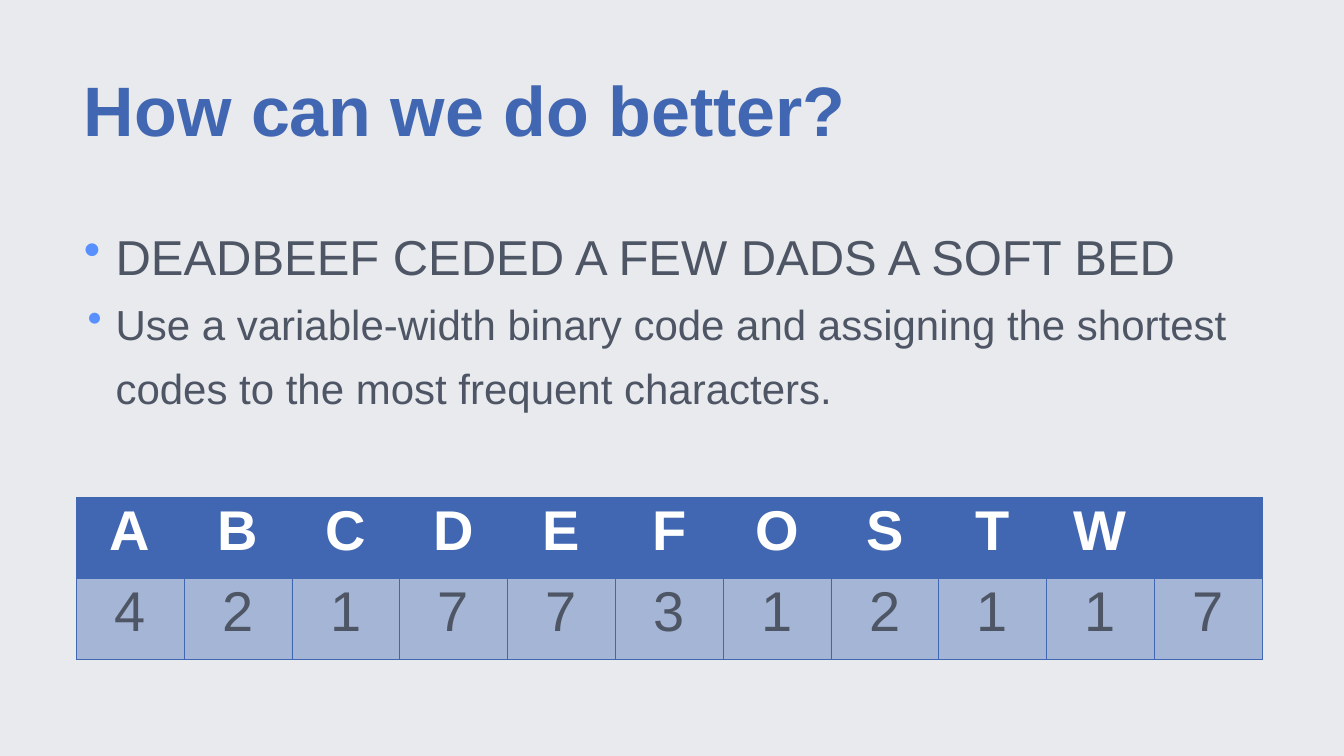
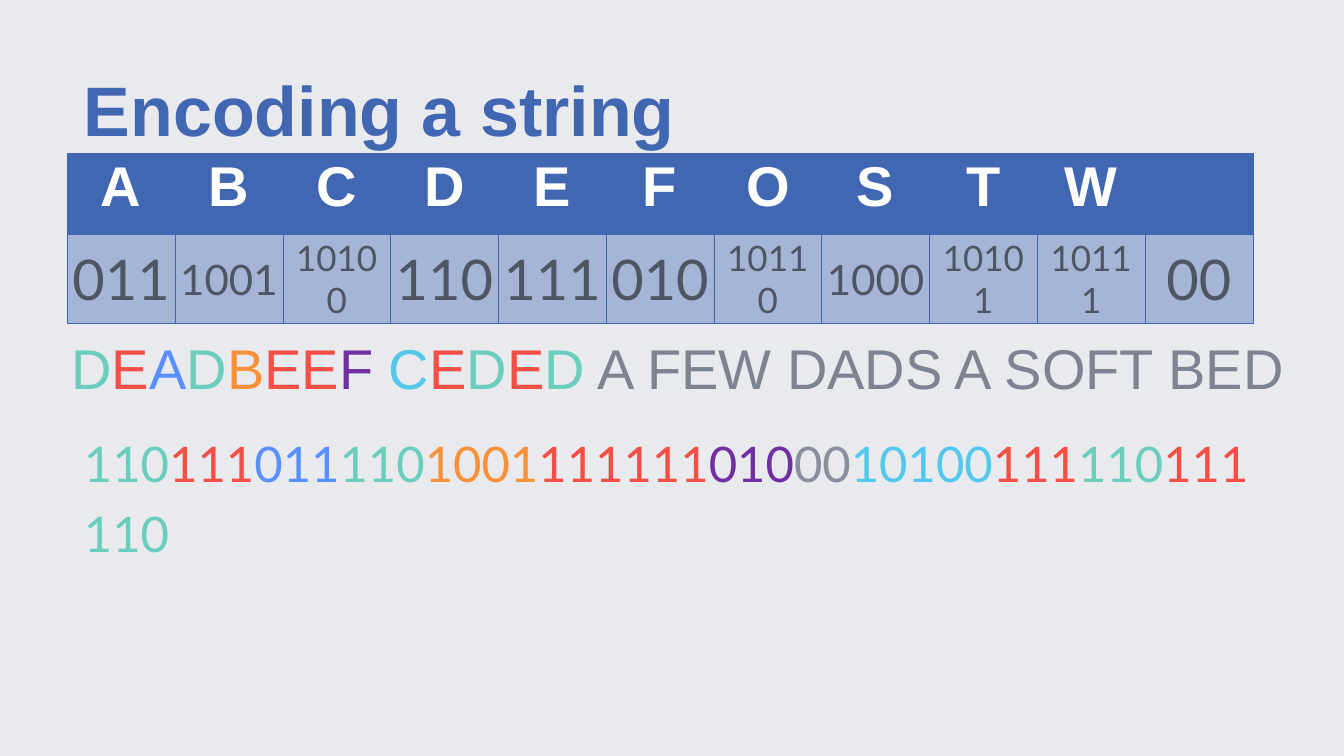
from itertools import groupby

from lxml.etree import SubElement as Sub
from pptx import Presentation
from pptx.dml.color import RGBColor as RGB
from pptx.enum.text import MSO_ANCHOR as Anchor, PP_ALIGN as Align
from pptx.oxml.ns import qn
from pptx.util import Pt

PAPER = RGB(0xE9, 0xEA, 0xED)
TITLE = RGB(0x42, 0x67, 0xB2)
GRID = RGB(0x41, 0x67, 0xB2)
INK = RGB(0x4E, 0x56, 0x65)
WHITE = RGB(0xFF, 0xFF, 0xFF)
GRAY = RGB(0x7D, 0x84, 0x90)
STONE = RGB(0x89, 0x8F, 0x9C)
BLUE = RGB(0x58, 0x90, 0xFF)
TEAL = RGB(0x6B, 0xCD, 0xBB)
RED = RGB(0xF3, 0x4F, 0x46)
AMBER = RGB(0xF7, 0x92, 0x3B)
PLUM = RGB(0x70, 0x30, 0xA0)
SKY = RGB(0x54, 0xC7, 0xEC)

COUNTS = dict(zip("ABCDEFOSTW ", "42177312117"))
CODES = dict(zip("ABCDEFOSTW ", "011 1001 10100 110 111 010 10110 1000 10101 10111 00".split()))
HUES = {"A": BLUE, "B": AMBER, "C": SKY, "D": TEAL, "E": RED, "F": PLUM, " ": STONE}
START = "DEADBEEF CEDED"
REST = " A FEW DADS A SOFT BED"


class Deck:
    """Holds the deck's style and its current slide."""

    def __init__(self):
        self.show = Presentation()
        self.show.slide_width, self.show.slide_height = Pt(1920), Pt(1080)
        self.slide = None

    def page(self, title):
        """Start a slide with its title."""
        self.slide = self.show.slides.add_slide(self.show.slide_layouts[6])
        fill = self.slide.background.fill
        fill.solid()
        fill.fore_color.rgb = PAPER
        frame = self.box(120, 82, 1680, 145, anchor=Anchor.MIDDLE)
        self.run(frame.paragraphs[0], title, 100, TITLE, bold=True)

    def box(self, left, top, width, height, inset=0, anchor=Anchor.TOP):
        """Add a wrapping text box and return its frame."""
        shape = self.slide.shapes.add_textbox(Pt(left), Pt(top), Pt(width), Pt(height))
        frame = shape.text_frame
        frame.word_wrap = True
        frame.vertical_anchor = anchor
        frame.margin_left = frame.margin_right = Pt(inset)
        frame.margin_top = frame.margin_bottom = Pt(inset / 2)
        return frame

    def run(self, para, text, size, color, font="Arial", bold=False):
        """Append one styled run."""
        run = para.add_run()
        run.text = text
        run.font.name, run.font.size, run.font.bold = font, Pt(size), bold
        run.font.color.rgb = color

    def bullets(self, frame, items):
        """Fill a frame with bullets given as text, size and hang."""
        for i, (text, size, hang) in enumerate(items):
            para = frame.add_paragraph() if i else frame.paragraphs[0]
            props = para._p.get_or_add_pPr()
            props.set("marL", str(Pt(45)))
            props.set("indent", str(-Pt(hang)))
            Sub(Sub(props, qn("a:buClr")), qn("a:srgbClr"), val=str(BLUE))
            Sub(props, qn("a:buChar"), char="•")
            para.line_spacing = 1.26
            self.run(para, text, size, INK)

    def edges(self, cell):
        """Draw the four cell borders."""
        props = cell._tc.get_or_add_tcPr()
        for i, side in enumerate("LRTB"):
            line = Sub(props, qn(f"a:ln{side}"), w=str(Pt(0.75)))
            Sub(Sub(line, qn("a:solidFill")), qn("a:srgbClr"), val=str(GRID))
            props.insert(i, line)

    def table(self, left, top, data, font="Arial", anchor=Anchor.TOP):
        """Add a table with letters above their values."""
        wide, high = 154, 116
        frame = self.slide.shapes.add_table(
            2, len(data), Pt(left), Pt(top), Pt(wide * len(data)), Pt(high * 2))
        grid = frame.table
        grid.horz_banding = False
        for col, (key, value) in enumerate(data.items()):
            grid.columns[col].width = Pt(wide)
            for row, text in enumerate((key.strip(), value)):
                cell = grid.cell(row, col)
                cell.fill.solid()
                cell.fill.fore_color.rgb = GRID
                para = cell.text_frame.paragraphs[0]
                para.alignment = Align.CENTER
                if row:
                    tint = cell._tc.tcPr.find(".//" + qn("a:srgbClr"))
                    Sub(tint, qn("a:alpha"), val="40000")
                    cell.vertical_anchor = anchor
                    size = {4: 60, 5: 50}.get(len(text), 80)
                    self.run(para, text, size, INK, font)
                elif text:
                    self.run(para, text, 80, WHITE, bold=True)
                self.edges(cell)
        for row in grid.rows:
            row.height = Pt(high)

    def save(self):
        """Write the deck."""
        self.show.save("out.pptx")


def main():
    deck = Deck()
    deck.page("How can we do better?")
    deck.bullets(deck.box(120, 302, 1680, 480), [
        (START + REST, 70, 45),
        ("Use a variable-width binary code and assigning the shortest codes "
         "to the most frequent characters.", 60, 40),
    ])
    deck.table(109, 710, COUNTS)

    deck.page("Encoding a string")
    code = deck.box(120, 602, 1680, 258).paragraphs[0]
    code.line_spacing = 1.2
    plain = deck.box(41, 459, 1837, 120, 7.2, Anchor.MIDDLE).paragraphs[0]
    plain.alignment = Align.CENTER
    plain.line_spacing = 1.1
    plain._p.get_or_add_pPr().set("indent", str(Pt(18)))
    for key, group in groupby(START):
        count = len(list(group))
        deck.run(plain, key * count, 80, HUES[key])
        deck.run(code, CODES[key] * count, 70, HUES[key], "Lato")
    deck.run(plain, REST, 80, GRAY)
    deck.table(96, 219, CODES, "Lato", Anchor.MIDDLE)
    deck.save()


if __name__ == "__main__":
    main()
